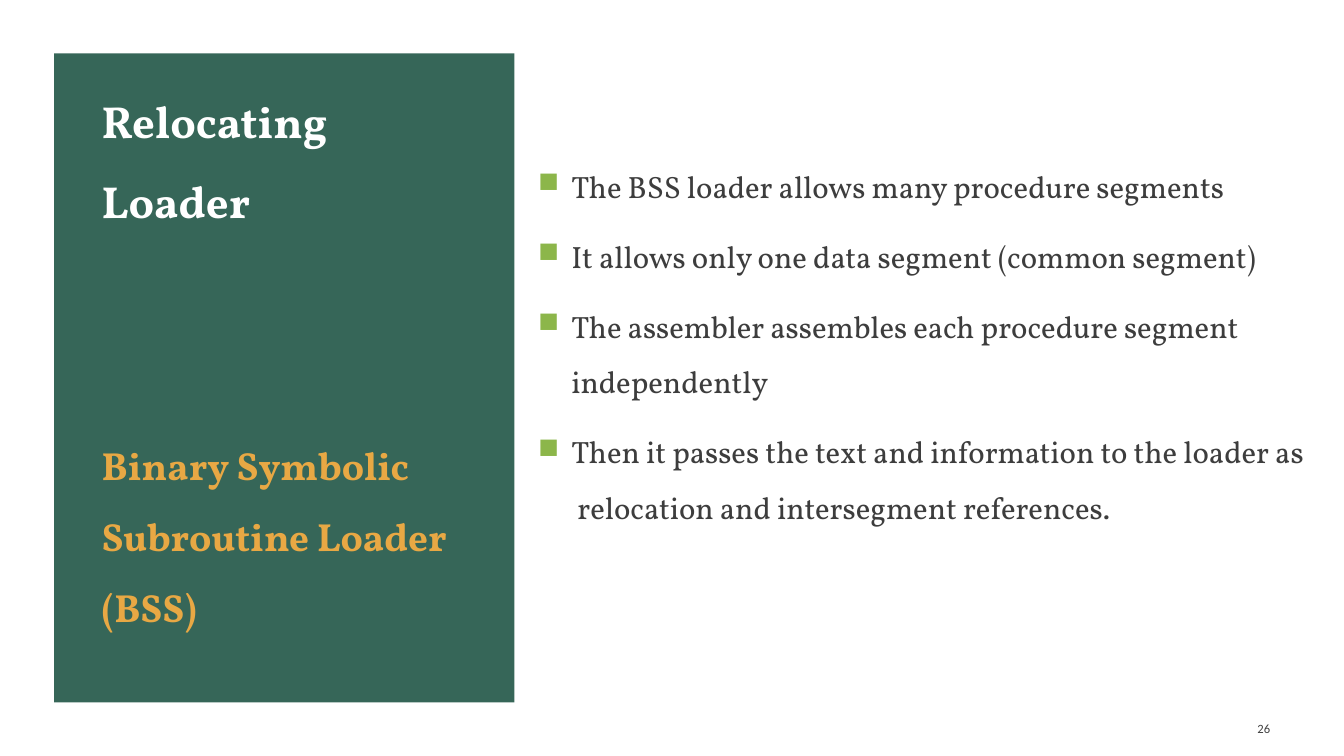
"""Build the slide on the BSS relocating loader."""
from lxml.etree import SubElement
from pptx import Presentation
from pptx.dml.color import RGBColor
from pptx.enum.shapes import MSO_SHAPE
from pptx.enum.text import MSO_ANCHOR, PP_ALIGN
from pptx.oxml.ns import qn
from pptx.util import Pt

WHITE = RGBColor(0xFF, 0xFF, 0xFF)
GREEN = RGBColor(0x36, 0x66, 0x58)
LIME = RGBColor(0x8C, 0xB6, 0x4A)
AMBER = RGBColor(0xE8, 0xA8, 0x44)
INK = RGBColor(0x3D, 0x3D, 0x3D)
GRAY = RGBColor(0x40, 0x40, 0x40)

WIDE, HIGH = 960, 540
INDENT = 23.76

PANELS = [
    ((0, 0, WIDE, HIGH), WHITE),
    ((38.7, 38.2, 328.8, 463.5), GREEN),
]
POINTS = [
    "The BSS loader allows many procedure segments",
    "It allows only one data segment (common segment)",
    "The assembler assembles each procedure segment independently",
    "Then it passes the text and information to the loader as  relocation and intersegment references.",
]
HEAD = {"name": "Vollkorn", "bold": True}
TEXTS = [
    {"box": (377.3, 103, 563.8, 293), "lines": POINTS, "mark": True,
     "anchor": MSO_ANCHOR.TOP,
     "para": {"line_spacing": 1.5, "space_after": Pt(6)},
     "font": {"name": "Vollkorn", "size": Pt(22)}, "color": INK},
    {"box": (831.6, 506.2, 82.8, 28.8), "lines": ["26"],
     "para": {"alignment": PP_ALIGN.RIGHT},
     "font": {"name": "Calibri", "size": Pt(9)}, "color": GRAY},
    {"box": (65.5, 51.1, 275, 108), "lines": ["Relocating\vLoader"],
     "para": {"line_spacing": 1.5},
     "font": {**HEAD, "size": Pt(32)}, "color": WHITE},
    {"box": (65.5, 300.2, 275, 148.3),
     "lines": ["Binary Symbolic Subroutine Loader (BSS)"],
     "para": {"line_spacing": 1.5},
     "font": {**HEAD, "size": Pt(28)}, "color": AMBER},
]


def apply(target, values):
    """Set each named attribute on the target."""
    for name, value in values.items():
        setattr(target, name, value)


def add_mark(para):
    """Give a paragraph a lime square bullet with a hanging indent."""
    props = para._p.get_or_add_pPr()
    props.set("marL", str(Pt(INDENT)))
    props.set("indent", str(-Pt(INDENT)))
    color = SubElement(props, qn("a:buClr"))
    SubElement(color, qn("a:srgbClr"), val=str(LIME))
    SubElement(props, qn("a:buSzPct"), val="92000")
    SubElement(props, qn("a:buChar"), char="■")


def add_panel(slide, box, color):
    """Draw a plain filled rectangle."""
    panel = slide.shapes.add_shape(MSO_SHAPE.RECTANGLE, *map(Pt, box))
    panel.shadow.inherit = False
    panel.fill.solid()
    panel.fill.fore_color.rgb = color
    panel.line.fill.background()


def add_text(slide, item):
    """Place one text box with its paragraphs."""
    frame = slide.shapes.add_textbox(*map(Pt, item["box"])).text_frame
    frame.word_wrap = True
    frame.vertical_anchor = item.get("anchor", MSO_ANCHOR.MIDDLE)
    for index, line in enumerate(item["lines"]):
        para = frame.add_paragraph() if index else frame.paragraphs[0]
        para.text = line
        if item.get("mark"):
            add_mark(para)
        apply(para, item["para"])
        if index:
            para.space_before = Pt(4.4)
        for run in para.runs:
            apply(run.font, item["font"])
            run.font.color.rgb = item["color"]


def main():
    """Build and save the deck."""
    deck = Presentation()
    apply(deck, {"slide_width": Pt(WIDE), "slide_height": Pt(HIGH)})
    slide = deck.slides.add_slide(deck.slide_layouts[6])
    for box, color in PANELS:
        add_panel(slide, box, color)
    for item in TEXTS:
        add_text(slide, item)
    deck.save("out.pptx")


if __name__ == "__main__":
    main()
